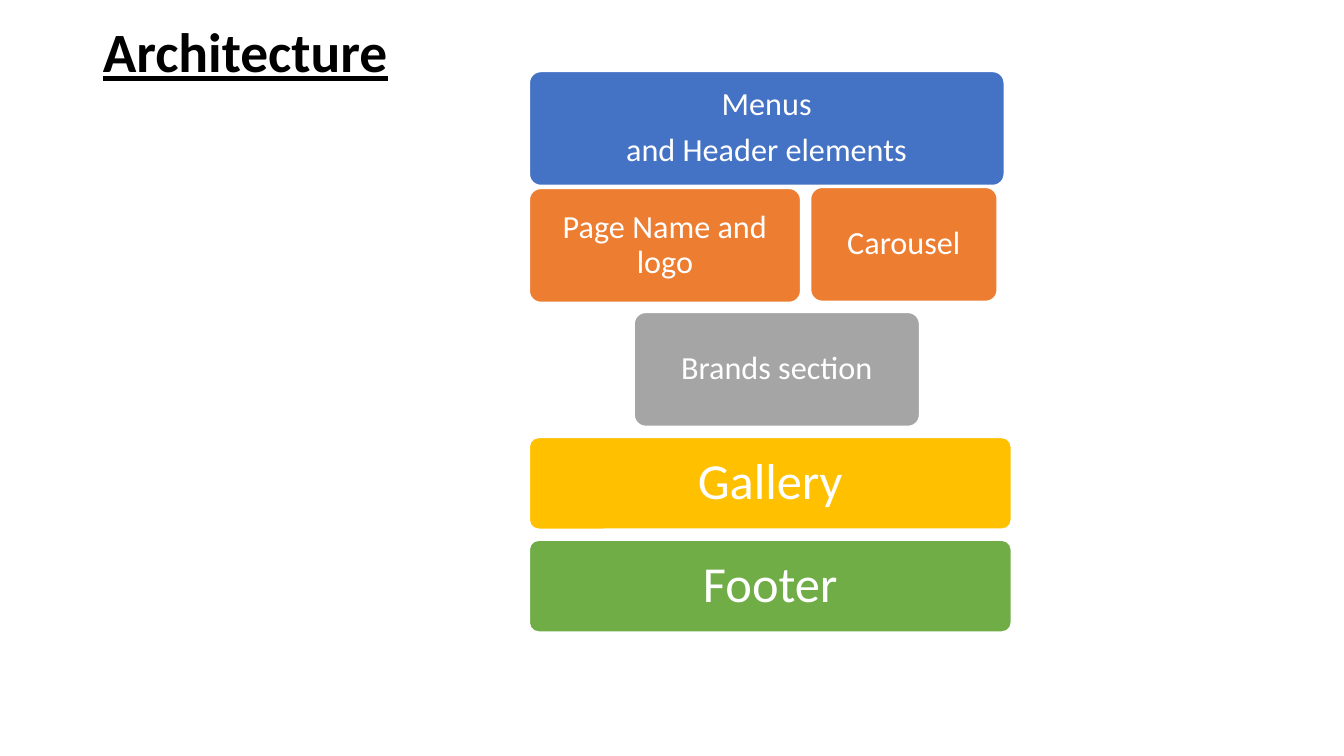
from dataclasses import dataclass

from pptx import Presentation
from pptx.dml.color import RGBColor
from pptx.enum.shapes import MSO_SHAPE
from pptx.enum.text import MSO_ANCHOR, MSO_AUTO_SIZE, PP_ALIGN
from pptx.util import Inches, Pt

ROUNDED = MSO_SHAPE.ROUNDED_RECTANGLE
MIDDLE = MSO_ANCHOR.MIDDLE
NO_FIT = MSO_AUTO_SIZE.NONE
LEFT, CENTER = PP_ALIGN.LEFT, PP_ALIGN.CENTER

BLACK = RGBColor(0x00, 0x00, 0x00)
WHITE = RGBColor(0xFF, 0xFF, 0xFF)
BLUE = RGBColor(0x44, 0x72, 0xC4)
ORANGE = RGBColor(0xED, 0x7D, 0x31)
GRAY = RGBColor(0xA5, 0xA5, 0xA5)
GOLD = RGBColor(0xFF, 0xC0, 0x00)
GREEN = RGBColor(0x70, 0xAD, 0x47)

FONT = "Calibri"
LINE_SPACING = 0.9
SPACE_AFTER_RATIO = 0.35


@dataclass(frozen=True)
class BlockStyle:
    """Height, text margin (inches) and text size (points) of a block."""
    height: float
    margin: float
    size: float


@dataclass(frozen=True)
class Block:
    """One section of the page layout, placed in inches."""
    left: float
    top: float
    width: float
    fill: RGBColor
    style: BlockStyle
    lines: tuple[str, ...]


SECTION = BlockStyle(height=1.13, margin=0.13, size=23)
BAND = BlockStyle(height=0.91, margin=0.18, size=36)

BLOCKS = (
    Block(5.25, 0.71, 4.71, BLUE, SECTION, ("Menus", "and Header elements")),
    Block(5.25, 1.87, 2.69, ORANGE, SECTION, ("Page Name and logo",)),
    Block(6.29, 3.1, 2.83, GRAY, SECTION, ("Brands section",)),
    Block(8.04, 1.86, 1.85, ORANGE, SECTION, ("Carousel",)),
    Block(5.25, 4.34, 4.78, GOLD, BAND, ("Gallery",)),
    Block(5.25, 5.36, 4.78, GREEN, BAND, ("Footer",)),
)


def add_span(para, text: str, size: float, color: RGBColor):
    """Add a run to a paragraph and return its font."""
    para.line_spacing = LINE_SPACING
    span = para.add_run()
    span.text = text
    font = span.font
    font.name, font.size = FONT, Pt(size)
    font.color.rgb = color
    return font


def add_title(page, text: str) -> None:
    """Place and format the slide title."""
    title = page.shapes.title
    title.left, title.top = Inches(0.92), Inches(0.4)
    title.width, title.height = Inches(3.28), Inches(0.29)
    frame = title.text_frame
    frame.auto_size = NO_FIT
    frame.word_wrap = True
    frame.vertical_anchor = MIDDLE
    para = frame.paragraphs[0]
    para.alignment = LEFT
    font = add_span(para, text, 39.6, BLACK)
    font.bold = font.underline = True


def add_block(page, block: Block) -> None:
    """Draw a rounded block with its centred text."""
    style = block.style
    box = page.shapes.add_shape(ROUNDED, Inches(block.left), Inches(block.top),
                                Inches(block.width), Inches(style.height))
    box.adjustments[0] = 0.1
    box.shadow.inherit = False
    box.fill.solid()
    box.fill.fore_color.rgb = block.fill
    box.line.color.rgb = WHITE
    box.line.width = Pt(1)

    frame = box.text_frame
    frame.word_wrap = True
    frame.vertical_anchor = MIDDLE
    frame.margin_left = frame.margin_right = Inches(style.margin)
    frame.margin_top = frame.margin_bottom = Inches(style.margin)
    for index, line in enumerate(block.lines):
        para = frame.add_paragraph() if index else frame.paragraphs[0]
        para.alignment = CENTER
        if index < len(block.lines) - 1:
            para.space_after = Pt(style.size * SPACE_AFTER_RATIO)
        add_span(para, line, style.size, WHITE)


def main() -> None:
    """Build and save the deck."""
    deck = Presentation()
    deck.slide_width, deck.slide_height = Inches(13.33), Inches(7.5)
    page = deck.slides.add_slide(deck.slide_layouts.get_by_name("Title Only"))
    add_title(page, "Architecture")
    for block in BLOCKS:
        add_block(page, block)
    deck.save("out.pptx")


main()
